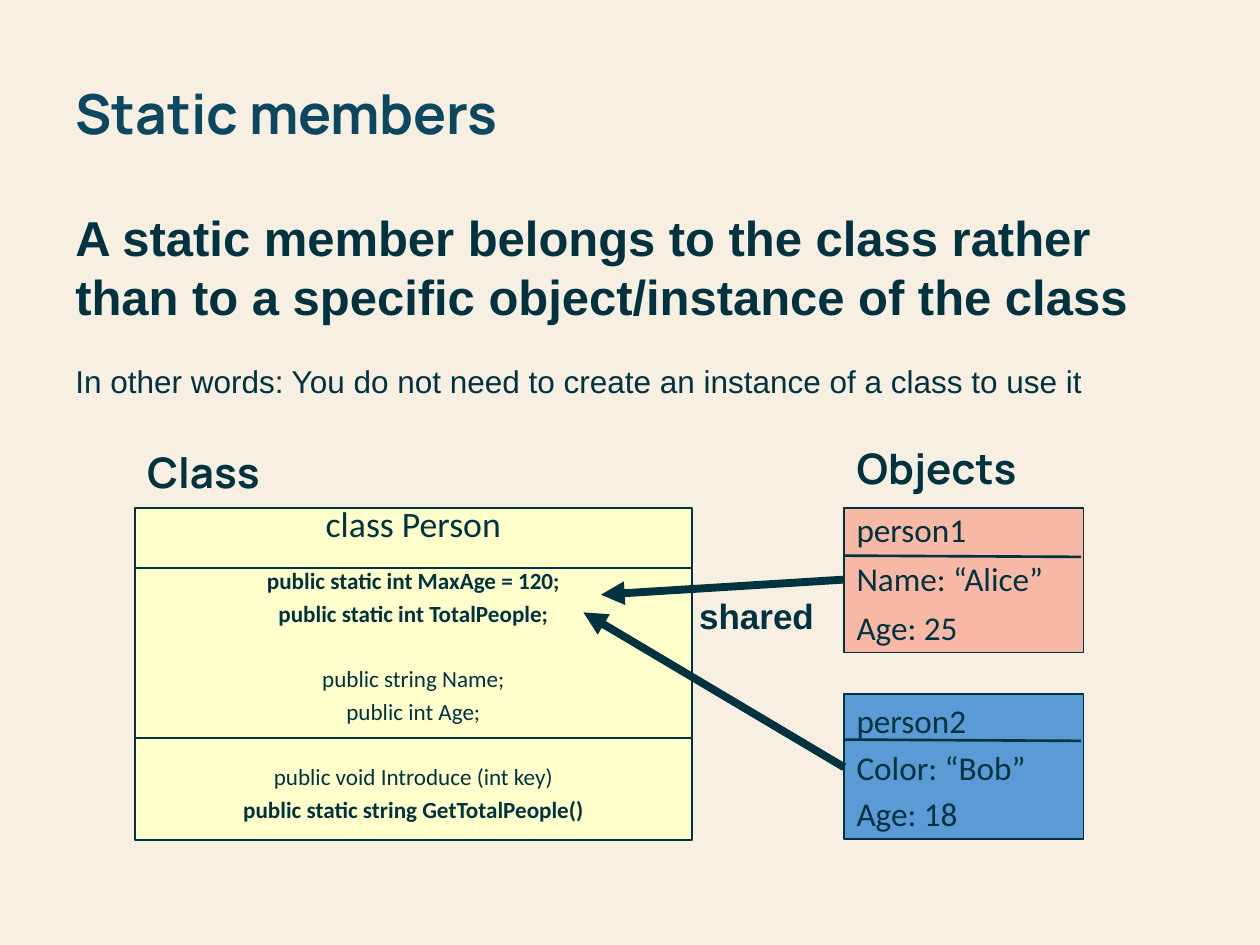
from lxml.etree import SubElement
from pptx import Presentation
from pptx.dml.color import RGBColor
from pptx.enum.shapes import MSO_CONNECTOR, MSO_SHAPE
from pptx.enum.text import MSO_ANCHOR, MSO_AUTO_SIZE, PP_ALIGN
from pptx.oxml.ns import qn
from pptx.util import Inches, Pt

CREAM = RGBColor(0xF8, 0xEF, 0xE3)
TEAL = RGBColor(0x0B, 0x48, 0x5F)
INK = RGBColor(0x00, 0x32, 0x40)
HEADING = RGBColor(0x00, 0x33, 0x40)
YELLOW = RGBColor(0xFF, 0xFF, 0xCC)
SALMON = RGBColor(0xF8, 0xB8, 0xA6)
BLUE = RGBColor(0x5B, 0x9B, 0xD5)

CLASS_X, CLASS_W = 1.07, 4.42
OBJECT_X, OBJECT_W, OBJECT_H = 6.7, 1.9, 1.15
TOP = 4.03


def write(tf, text, size=18, font="Arial", color=INK, bold=False,
          align=PP_ALIGN.LEFT, spacing=1.0, before=0):
    p = tf.paragraphs[0]
    if p.runs:
        p = tf.add_paragraph()
    p.alignment = align
    p.line_spacing = spacing
    p.space_before = Pt(before)
    r = p.add_run()
    r.text = text
    r.font.size = Pt(size)
    r.font.name = font
    r.font.bold = bold
    r.font.color.rgb = color


class SlideBuilder:
    def __init__(self, prs):
        self.slide = prs.slides.add_slide(prs.slide_layouts[5])
        self.slide.background.fill.solid()
        self.slide.background.fill.fore_color.rgb = CREAM

    def frame(self, sp, anchor):
        tf = sp.text_frame
        tf.word_wrap = True
        tf.auto_size = MSO_AUTO_SIZE.NONE
        tf.vertical_anchor = anchor
        return tf

    def title(self, text, x, y, w, h):
        sp = self.slide.shapes.title
        sp.left, sp.top, sp.width, sp.height = map(Inches, (x, y, w, h))
        write(self.frame(sp, MSO_ANCHOR.MIDDLE), text, size=31.5,
              font="Manrope", color=TEAL, bold=True, spacing=0.9)

    def text(self, x, y, w, h, anchor=MSO_ANCHOR.TOP):
        sp = self.slide.shapes.add_textbox(*map(Inches, (x, y, w, h)))
        return self.frame(sp, anchor)

    def heading(self, text, x, y, w):
        write(self.text(x, y, w, 0.7, MSO_ANCHOR.BOTTOM), text, size=24,
              font="Manrope", color=HEADING, bold=True, spacing=0.9)

    def box(self, x, y, w, h, fill=None):
        sp = self.slide.shapes.add_shape(
            MSO_SHAPE.RECTANGLE, *map(Inches, (x, y, w, h)))
        sp.shadow.inherit = False
        if fill is None:
            sp.fill.background()
        else:
            sp.fill.solid()
            sp.fill.fore_color.rgb = fill
        sp.line.color.rgb = INK
        sp.line.width = Pt(1)
        return self.frame(sp, MSO_ANCHOR.TOP)

    def line(self, x1, y1, x2, y2, width, arrow=False):
        cxn = self.slide.shapes.add_connector(
            MSO_CONNECTOR.STRAIGHT, *map(Inches, (x1, y1, x2, y2)))
        cxn.line.color.rgb = INK
        cxn.line.width = Pt(width)
        if arrow:
            SubElement(cxn.line._get_or_add_ln(), qn("a:tailEnd"), type="triangle")
        SubElement(cxn._element.spPr, qn("a:effectLst"))

    def object_box(self, lines, y, fill, spacing, before):
        tf = self.box(OBJECT_X, y, OBJECT_W, OBJECT_H, fill)
        for i, text in enumerate(lines):
            write(tf, text, size=19, font="Calibri", spacing=spacing,
                  before=before if i else 0)


def main():
    prs = Presentation()
    prs.slide_width, prs.slide_height = Inches(10), Inches(7.5)
    s = SlideBuilder(prs)

    s.title("Static members", 0.5, 0.3, 9, 1.25)
    s.heading("Class", CLASS_X, 3.3, 4.27)
    s.heading("Objects", OBJECT_X, 3.27, 1.89)

    members = [
        ("public static int MaxAge = 120;", True, 17.4),
        ("public static int TotalPeople;", True, 7.5),
        ("public string Name;", False, 26.3),
        ("public int Age;", False, 7.5),
        ("public void Introduce (int key)", False, 26.3),
        ("public static string GetTotalPeople()", True, 7.5),
    ]
    tf = s.box(CLASS_X, TOP, CLASS_W, 2.64, YELLOW)
    write(tf, "class Person", size=20.4, font="Calibri",
          align=PP_ALIGN.CENTER, spacing=0.7)
    for text, bold, before in members:
        write(tf, text, size=13.2, font="Calibri", bold=bold,
              align=PP_ALIGN.CENTER, spacing=0.7, before=before)
    s.box(CLASS_X, 4.51, CLASS_W, 1.35)

    s.object_box(["person1", "Name: “Alice”", "Age: 25"], TOP, SALMON, 0.9, 7.5)
    s.object_box(["person2", "Color: “Bob”", "Age: 18"], 5.51, BLUE, 1.0, 3.8)

    tf = s.text(0.5, 1.6, 9, 1.65)
    write(tf, "A static member belongs to the class rather than to a specific "
          "object/instance of the class", size=28, bold=True)
    write(tf, "In other words: You do not need to create an instance of a class "
          "to use it", before=20.7)

    s.line(OBJECT_X, 4.6, 4.77, 4.72, 4.5, arrow=True)
    s.line(OBJECT_X, 6.09, 4.63, 4.86, 4.5, arrow=True)
    write(s.text(5.45, 4.67, 1.46, 0.44), "shared", size=20, bold=True)
    for y in (4.41, 5.87):
        s.line(OBJECT_X, y, 8.58, y + 0.01, 1.5)

    prs.save("out.pptx")


if __name__ == "__main__":
    main()
